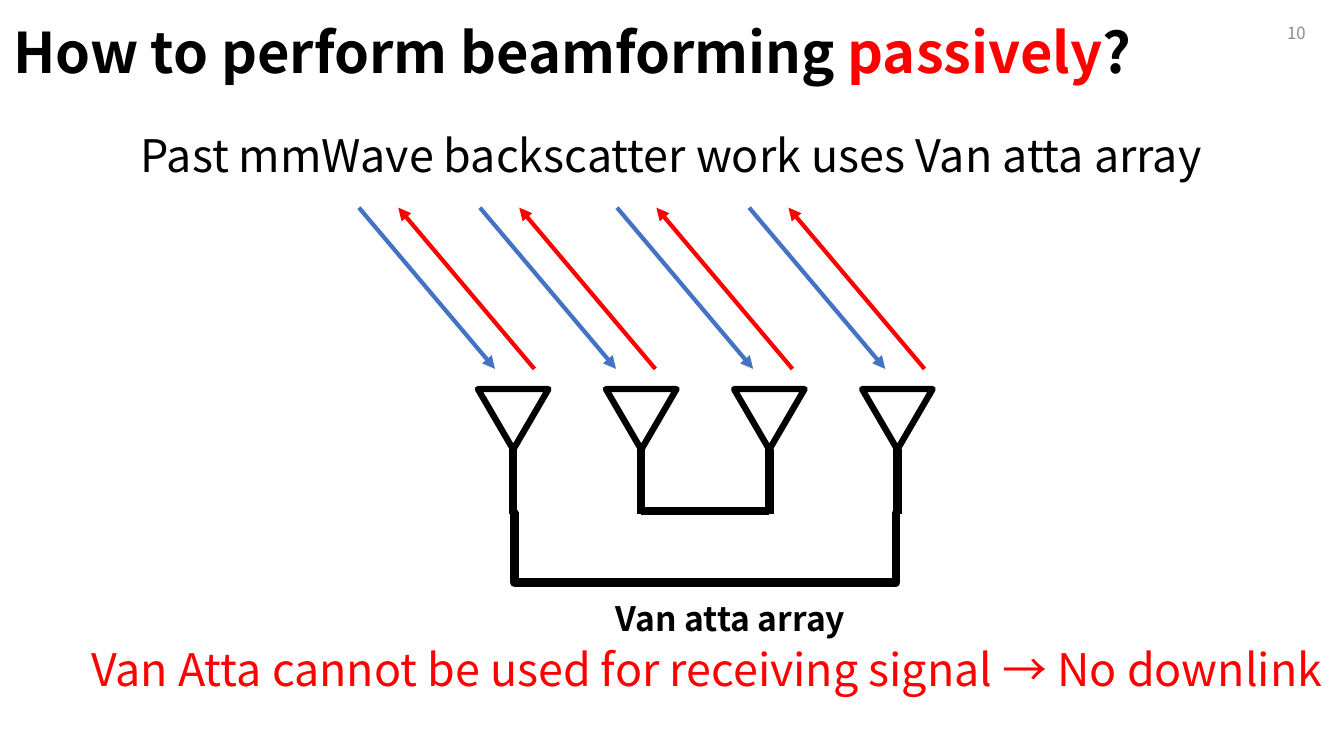
from dataclasses import dataclass

from lxml import etree
from pptx import Presentation
from pptx import util as u
from pptx.dml.color import RGBColor
from pptx.enum import shapes, text
from pptx.oxml.ns import qn

PX = 9144  # EMU per px, 100 px to the inch


@dataclass(frozen=True)
class Theme:
    font: str = "Noto Sans CJK SC"
    black: str = "000000"
    white: str = "FFFFFF"
    red: str = "FF0000"
    blue: str = "4472C4"
    gray: str = "8C8C8C"
    title_size: int = 40
    body_size: int = 32
    label_size: int = 24
    number_size: int = 12
    ray_width: float = 3
    antenna_width: float = 4.5
    wire_width: float = 6


THEME = Theme()


@dataclass(frozen=True)
class Span:
    text: str
    color: str = THEME.black


@dataclass(frozen=True)
class Label:
    left: int
    top: int
    width: int
    height: int
    spans: tuple[Span, ...]
    size: int
    bold: bool = False
    align: text.PP_ALIGN = text.PP_ALIGN.LEFT
    anchor: text.MSO_ANCHOR = text.MSO_ANCHOR.TOP


@dataclass(frozen=True)
class Line:
    start: tuple[int, int]
    end: tuple[int, int]
    color: str = THEME.black
    width: float = THEME.wire_width
    arrow: bool = False
    elbow: bool = False


TITLE = Label(3, 12, 1353, 77,
              (Span("How to perform beamforming "), Span("passively", THEME.red), Span("?")),
              THEME.title_size, bold=True)
LABELS = (
    Label(601, 588, 263, 50, (Span("Van atta array"),), THEME.label_size, bold=True),
    Label(70, 632, 1263, 64,
          (Span("Van Atta cannot be used for receiving signal → No downlink", THEME.red),),
          THEME.body_size, align=text.PP_ALIGN.CENTER),
    Label(1005, 13, 300, 40, (Span("10", THEME.gray),), THEME.number_size,
          align=text.PP_ALIGN.RIGHT, anchor=text.MSO_ANCHOR.MIDDLE),
    Label(46, 122, 1240, 64, (Span("Past mmWave backscatter work uses Van atta array"),),
          THEME.body_size, align=text.PP_ALIGN.CENTER),
)

RAY_STARTS = (356, 476, 612, 743)
RAY_TOP, RAY_BOTTOM, RAY_RUN = 206, 366, 135
RETURN_OFFSET = 39

ANTENNA_LEFT, ANTENNA_TOP, ANTENNA_PITCH = 474, 386, 127
ANTENNA_WIDTH, ANTENNA_HEIGHT = 70, 60
FEEDS = [ANTENNA_LEFT + ANTENNA_WIDTH // 2 + i * ANTENNA_PITCH for i in range(4)]
STEM_TOP, STEM_BOTTOM = 445, 510
INNER_BAR, OUTER_BAR, OUTER_REACH = 507, 578, 262


def fill_text(box, label: Label) -> None:
    box.left, box.top = label.left * PX, label.top * PX
    box.width, box.height = label.width * PX, label.height * PX
    frame = box.text_frame
    frame.word_wrap = True
    frame.auto_size = text.MSO_AUTO_SIZE.NONE
    frame.vertical_anchor = label.anchor
    para = frame.paragraphs[0]
    para.alignment = label.align
    for span in label.spans:
        run = para.add_run()
        run.text = span.text
        run.font.size = u.Pt(label.size)
        run.font.bold = label.bold
        run.font.color.rgb = RGBColor.from_string(span.color)
        run.font.name = THEME.font
        # East Asian face, used for the arrow symbol
        etree.SubElement(run.font._element, qn("a:ea"), typeface=THEME.font)


def draw_line(slide, line: Line) -> None:
    kind = shapes.MSO_CONNECTOR.ELBOW if line.elbow else shapes.MSO_CONNECTOR.STRAIGHT
    ends = [value * PX for value in (*line.start, *line.end)]
    connector = slide.shapes.add_connector(kind, *ends)
    connector.line.color.rgb = RGBColor.from_string(line.color)
    connector.line.width = u.Pt(line.width)
    properties = connector._element.spPr
    if line.elbow:  # turn the corner right at the start
        guides = properties.find(qn("a:prstGeom")).find(qn("a:avLst"))
        etree.SubElement(guides, qn("a:gd"), name="adj1", fmla="val 500")
    if line.arrow:
        etree.SubElement(connector.line._get_or_add_ln(), qn("a:tailEnd"), type="triangle")
    etree.SubElement(properties, qn("a:effectLst"))


def draw_antenna(slide, feed: int) -> None:
    antenna = slide.shapes.add_shape(
        shapes.MSO_SHAPE.ISOSCELES_TRIANGLE, (feed - ANTENNA_WIDTH // 2) * PX,
        ANTENNA_TOP * PX, ANTENNA_WIDTH * PX, ANTENNA_HEIGHT * PX)
    antenna.rotation = 180
    antenna.shadow.inherit = False
    antenna.fill.solid()
    antenna.fill.fore_color.rgb = RGBColor.from_string(THEME.white)
    antenna.line.color.rgb = RGBColor.from_string(THEME.black)
    antenna.line.width = u.Pt(THEME.antenna_width)


def ray_lines() -> list[Line]:
    """Incoming rays, then the rays sent back beside them."""
    incoming = [Line((x, RAY_TOP), (x + RAY_RUN, RAY_BOTTOM), THEME.blue,
                     THEME.ray_width, arrow=True) for x in RAY_STARTS]
    returned = [Line((x + RETURN_OFFSET + RAY_RUN, RAY_BOTTOM), (x + RETURN_OFFSET, RAY_TOP),
                     THEME.red, THEME.ray_width, arrow=True) for x in RAY_STARTS]
    return incoming + returned


def wire_lines() -> list[Line]:
    """Stems under the antennas, the inner pair's bar and the outer pair's two elbows."""
    stems = [Line((x, STEM_TOP), (x, STEM_BOTTOM)) for x in FEEDS]
    bar = Line((FEEDS[1], INNER_BAR), (FEEDS[2], INNER_BAR))
    elbows = [Line((x, STEM_BOTTOM - 1), (x + reach, OUTER_BAR), elbow=True)
              for x, reach in ((FEEDS[0], OUTER_REACH), (FEEDS[3], -OUTER_REACH))]
    return [*stems, bar, *elbows]


def main() -> None:
    deck = Presentation()
    deck.slide_width, deck.slide_height = u.Inches(13.33), u.Inches(7.5)
    slide = deck.slides.add_slide(deck.slide_layouts.get_by_name("Title Only"))
    fill_text(slide.shapes.title, TITLE)
    for label in LABELS:
        fill_text(slide.shapes.add_textbox(0, 0, 0, 0), label)
    for ray in ray_lines():
        draw_line(slide, ray)
    for feed in FEEDS:
        draw_antenna(slide, feed)
    for wire in wire_lines():
        draw_line(slide, wire)
    deck.save("out.pptx")


if __name__ == "__main__":
    main()
